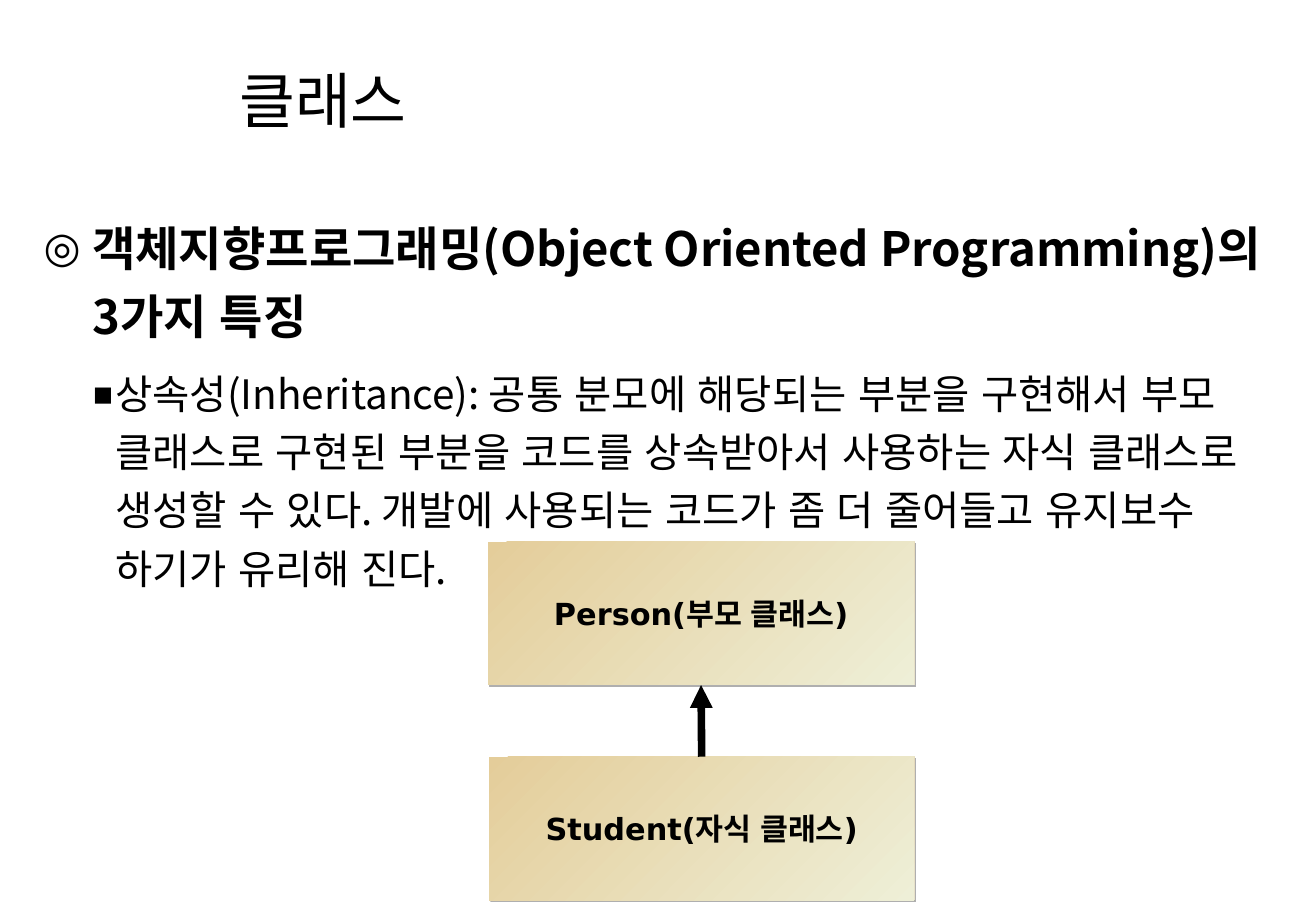
import pptx
import pptx.util
import pptx.dml.color
import pptx.enum.lang
import pptx.enum.shapes
import pptx.enum.text
import pptx.oxml
import pptx.oxml.ns

WIDTH, HEIGHT = 10.84, 7.5
SANS, LABEL = "Noto Sans CJK KR", "DejaVu Sans"
BLACK, SAND, CREAM, SHADE = "000000", "E4CD9A", "EEEFD7", "AFAFAF"

TITLE = "클래스"
POINTS = [
    dict(text="객체지향프로그래밍(Object Oriented Programming)의 3가지 특징",
         level=0, size=28, bold=True, bullet="◎", scale=90, left=0.4, hang=0.4, before=0),
    dict(text="상속성(Inheritance): 공통 분모에 해당되는 부분을 구현해서 부모 클래스로 구현된 부분을 "
              "코드를 상속받아서 사용하는 자식 클래스로 생성할 수 있다. 개발에 사용되는 코드가 "
              "좀 더 줄어들고 유지보수 하기가 유리해 진다.",
         level=1, size=24, bold=False, bullet="▪", scale=80, left=0.59, hang=0.19, before=9),
]
CLASSES = [("Person(부모 클래스)", 4.02, 3.51), ("Student(자식 클래스)", 4.03, 3.5)]
BOX_TOP, BOX_H, BOX_STEP = 4.46, 1.18, 1.77

inch = pptx.util.Inches
pt = pptx.util.Pt


def rgb(value):
    return pptx.dml.color.RGBColor.from_string(value)


def add_xml(parent, tag, body="", **attrs):
    pairs = " ".join(f'{k}="{v}"' for k, v in attrs.items())
    xml = f'<a:{tag} {pptx.oxml.ns.nsdecls("a")} {pairs}>{body}</a:{tag}>'
    parent.append(pptx.oxml.parse_xml(xml))


def write(p, text, size, font=SANS, bold=False, color=BLACK, align=None, spacing=1.0, before=0):
    p.alignment = align
    p.line_spacing = spacing
    p.space_before = pt(before)
    r = p.add_run()
    r.text = text
    r.font.size = pt(size)
    r.font.bold = bold
    r.font.name = font
    r.font.color.rgb = rgb(color)
    r.font.language_id = pptx.enum.lang.MSO_LANGUAGE_ID.KOREAN
    add_xml(r.font._element, "ea", typeface=SANS)


def place(sp, left, top, width, height):
    sp.left, sp.top, sp.width, sp.height = map(inch, (left, top, width, height))
    tf = sp.text_frame
    tf.word_wrap = True
    tf.auto_size = pptx.enum.text.MSO_AUTO_SIZE.NONE
    tf.vertical_anchor = pptx.enum.text.MSO_ANCHOR.TOP
    return tf


def add_bullet(p, point):
    pPr = p._p.get_or_add_pPr()
    pPr.set("marL", str(inch(point["left"])))
    pPr.set("indent", str(-inch(point["hang"])))
    add_xml(pPr, "buClr", f'<a:srgbClr val="{BLACK}"/>')
    add_xml(pPr, "buSzPct", val=point["scale"] * 1000)
    add_xml(pPr, "buFont", typeface=LABEL)
    add_xml(pPr, "buChar", char=point["bullet"])


def add_class_box(s, text, left, top, width):
    sp = s.shapes.add_shape(pptx.enum.shapes.MSO_SHAPE.RECTANGLE,
                            inch(left), inch(top), inch(width), inch(BOX_H))
    sp.line.fill.background()
    sp.fill.gradient()
    sp.fill.gradient_angle = 315
    for stop, color, position in zip(sp.fill.gradient_stops, (SAND, CREAM), (0, 1)):
        stop.color.rgb = rgb(color)
        stop.position = position
    sp.shadow.inherit = False
    effects = sp._element.spPr.find(pptx.oxml.ns.qn("a:effectLst"))
    add_xml(effects, "outerShdw", f'<a:srgbClr val="{SHADE}"/>',
            blurRad=0, dist=pt(1.4), dir=45 * 60000, algn="ctr", rotWithShape=0)
    tf = sp.text_frame
    tf.word_wrap = True
    tf.margin_left = tf.margin_right = inch(0.2)
    tf.vertical_anchor = pptx.enum.text.MSO_ANCHOR.MIDDLE
    write(tf.paragraphs[0], text, 18, font=LABEL, bold=True,
          align=pptx.enum.text.PP_ALIGN.CENTER)
    return sp


def add_arrow(s, child, parent):
    line = s.shapes.add_connector(pptx.enum.shapes.MSO_CONNECTOR.STRAIGHT, 0, 0, 0, 0)
    line.begin_connect(child, 0)
    line.end_connect(parent, 2)
    line.line.color.rgb = rgb(BLACK)
    line.line.width = pt(4.5)
    add_xml(line.line._get_or_add_ln(), "tailEnd", type="triangle")
    add_xml(line._element.spPr, "effectLst")


def main():
    prs = pptx.Presentation()
    prs.slide_width, prs.slide_height = inch(WIDTH), inch(HEIGHT)
    s = prs.slides.add_slide(prs.slide_layouts[1])

    tf = place(s.shapes.title, 1.87, 0.56, 7.4, 0.61)
    write(tf.paragraphs[0], TITLE, 36, spacing=0.85, align=pptx.enum.text.PP_ALIGN.LEFT)

    tf = place(s.placeholders[1], 0.26, 1.66, 10.24, 3.87)
    for i, point in enumerate(POINTS):
        p = tf.add_paragraph() if i else tf.paragraphs[0]
        p.level = point["level"]
        write(p, point["text"], point["size"], bold=point["bold"],
              spacing=1.2, before=point["before"])
        add_bullet(p, point)

    parent, child = [add_class_box(s, text, left, BOX_TOP + i * BOX_STEP, width)
                     for i, (text, left, width) in enumerate(CLASSES)]
    add_arrow(s, child, parent)
    prs.save("out.pptx")


if __name__ == "__main__":
    main()
